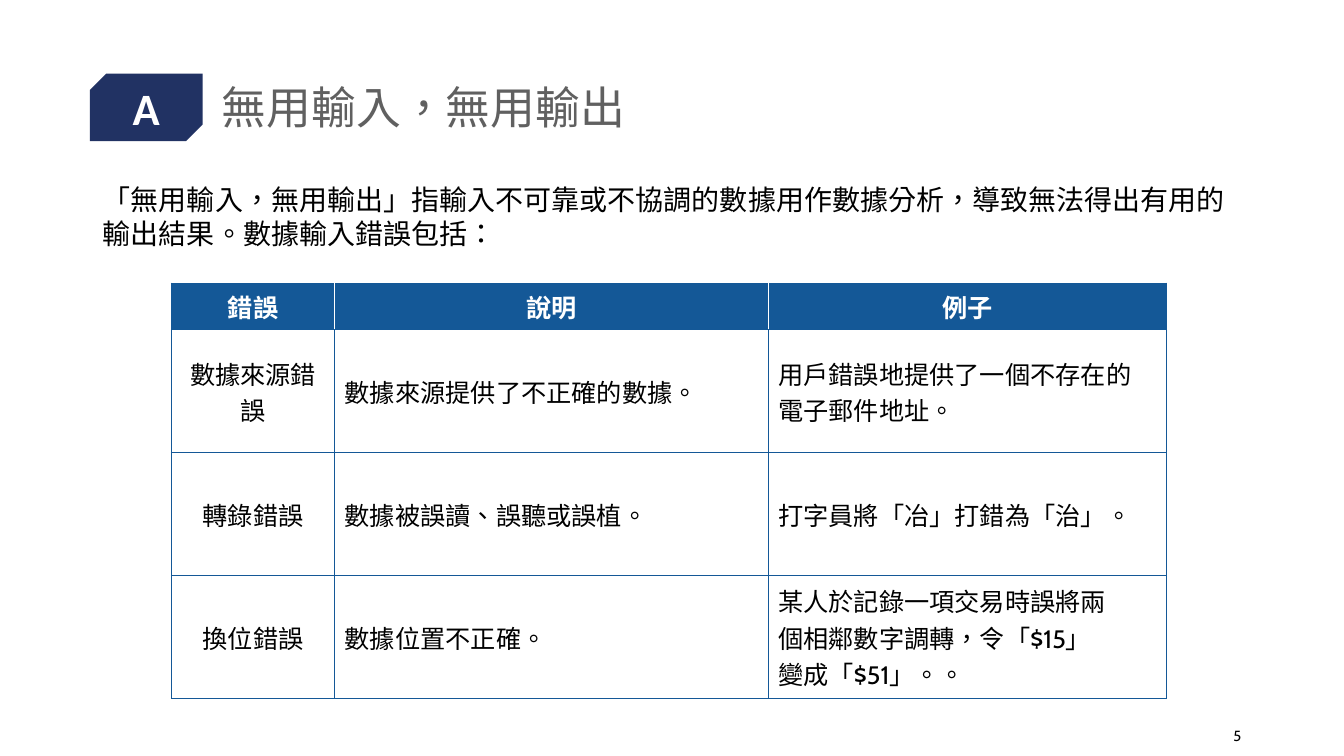
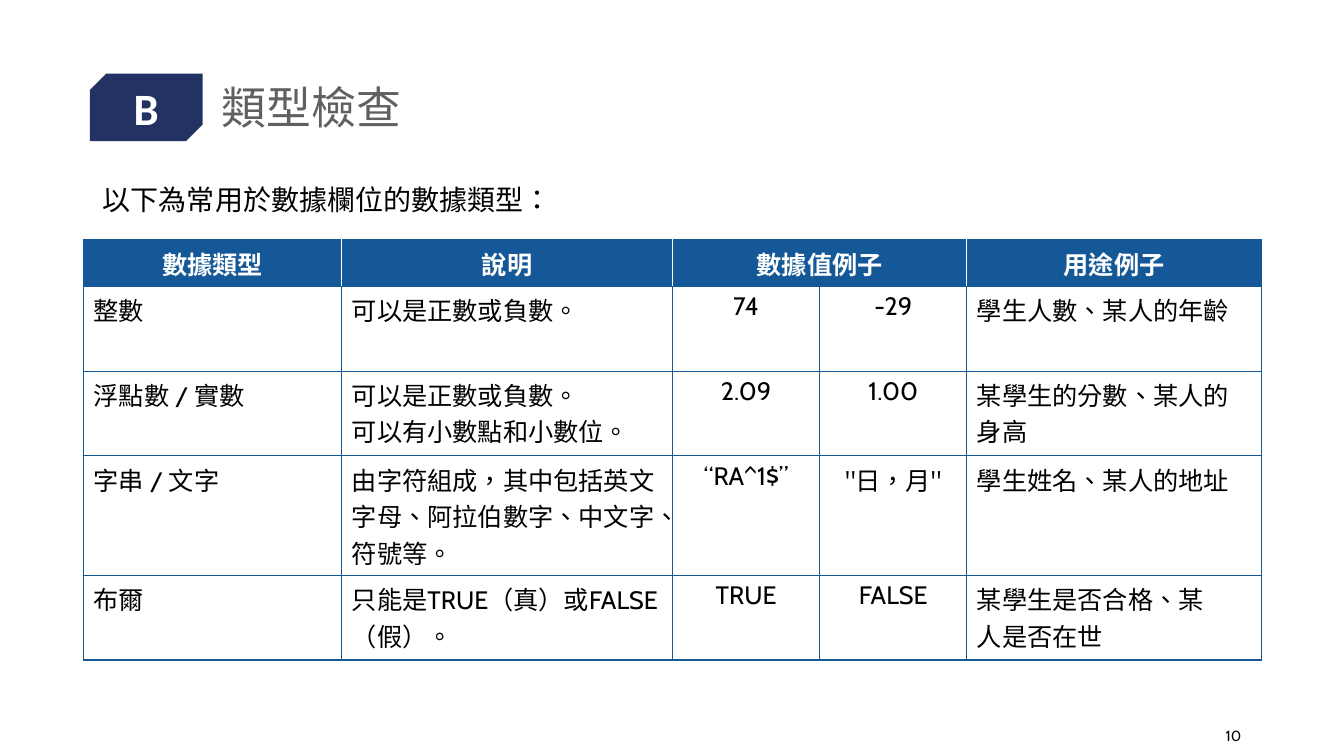
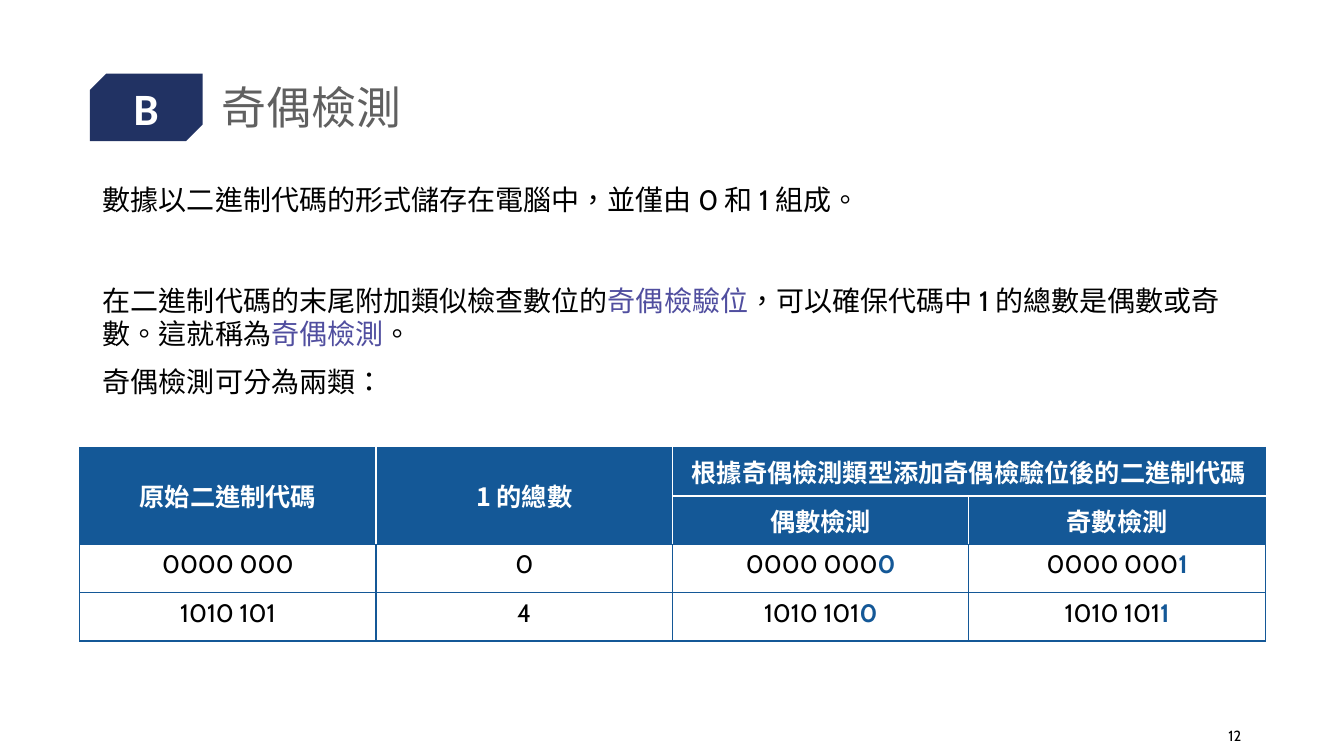
from lxml import etree
from pptx import Presentation
from pptx import util as u
from pptx.dml.color import RGBColor
from pptx.enum import lang, shapes, text
from pptx.oxml.ns import qn

NAVY, BLUE, PURPLE = "213263", "145897", "504E9F"
GREY, BLACK, WHITE = "606060", "000000", "FFFFFF"
CJK, LATIN, BADGE = "Noto Sans CJK TC", "Cabin", "Calibri"
LEFT, CENTER, RIGHT = text.PP_ALIGN.LEFT, text.PP_ALIGN.CENTER, text.PP_ALIGN.RIGHT
TOP, MIDDLE = text.MSO_ANCHOR.TOP, text.MSO_ANCHOR.MIDDLE


def rgb(color):
    return RGBColor.from_string(color)


def assign(obj, values):
    for name, value in values.items():
        setattr(obj, name, value)


def place(sp, left, top, width, height):
    assign(sp, {"left": u.Inches(left), "top": u.Inches(top),
                "width": u.Inches(width), "height": u.Inches(height)})


def set_border(cell, side, color):
    ln = etree.SubElement(cell._tc.get_or_add_tcPr(), qn(f"a:ln{side}"), w=str(u.Pt(1)))
    fill = etree.SubElement(ln, qn("a:solidFill"))
    etree.SubElement(fill, qn("a:srgbClr"), val=color)


class Deck:
    def __init__(self):
        self.prs = Presentation()
        assign(self.prs, {"slide_width": u.Inches(13.33), "slide_height": u.Inches(7.5)})
        self.s = None

    def add_text(self, tf, lines, size, font, color, accent=None, align=LEFT, bold=False, **fmt):
        """Fill a text frame; text between asterisks takes the accent format."""
        for i, line in enumerate(lines):
            p = tf.paragraphs[0] if i == 0 else tf.add_paragraph()
            pPr = p._p.get_or_add_pPr()
            assign(p, {"alignment": align, "space_before": u.Pt(0), **fmt})
            pPr.set("marL", "0")
            pPr.set("indent", "0")
            etree.SubElement(pPr, qn("a:buNone"))
            for k, part in enumerate(line.split("*")):
                if part:
                    look = {"name": font, "size": u.Pt(size), "bold": bold, "color": color}
                    look.update(accent if accent and k % 2 else {})
                    self.add_run(p, part, look)

    def add_run(self, p, words, look):
        r = p.add_run()
        r.text = words
        r.font.color.rgb = rgb(look.pop("color"))
        assign(r.font, {**look, "language_id": lang.MSO_LANGUAGE_ID.TRADITIONAL_CHINESE})
        etree.SubElement(r.font._element, qn("a:ea"), typeface=CJK)

    def frame(self, sp, anchor=MIDDLE):
        assign(sp.text_frame, {"word_wrap": True, "vertical_anchor": anchor,
                               "auto_size": text.MSO_AUTO_SIZE.NONE})
        return sp.text_frame

    def new_slide(self, letter, title, number):
        self.s = self.prs.slides.add_slide(self.prs.slide_layouts.get_by_name("Two Content"))
        self.badge(letter)
        sp = self.s.shapes.title
        place(sp, 2.1, 0.4, 10.32, 1.38)
        self.add_text(self.frame(sp), [title], 32, CJK, GREY, line_spacing=0.9)
        sp = self.s.shapes.add_textbox(0, 0, 0, 0)
        place(sp, 11.57, 7.1, 0.84, 0.4)
        self.add_text(self.frame(sp), [str(number)], 10.5, LATIN, BLACK, align=RIGHT)

    def badge(self, letter):
        sp = self.s.shapes.add_shape(shapes.MSO_SHAPE.SNIP_2_DIAG_RECTANGLE, 0, 0, 0, 0)
        place(sp, 0.89, 0.73, 1.12, 0.67)
        sp.adjustments[0], sp.adjustments[1] = 0.245, 0
        sp.shadow.inherit = False
        sp.fill.solid()
        sp.fill.fore_color.rgb = rgb(NAVY)
        sp.line.fill.background()
        self.s.shapes._spTree.insert(2, sp._element)
        sp = self.s.placeholders[1]
        place(sp, 0.92, 0.75, 1.06, 0.64)
        self.add_text(self.frame(sp), [letter], 32, BADGE, WHITE, align=CENTER, bold=True)

    def body(self, lines, font=CJK, gaps=()):
        """Add the body text; gaps lists the space before each later paragraph."""
        sp = self.s.placeholders[2]
        place(sp, 0.92, 1.76, 11.5, 5.12)
        tf = self.frame(sp, TOP)
        self.add_text(tf, lines, 20, font, BLACK, {"name": CJK, "color": PURPLE},
                      line_spacing=1.0)
        for p, gap in zip(tf.paragraphs[1:], gaps):
            p.space_before = u.Pt(gap)

    def table(self, left, top, cols, heights, rows, centered, merges=(), heads=1,
              head_anchor=TOP, anchor=TOP):
        """Add a table; merges holds (row, col, last row, last col)."""
        gf = self.s.shapes.add_table(len(rows), len(cols), u.Inches(left), u.Inches(top),
                                     u.Inches(sum(cols)), u.Inches(sum(heights)))
        tbl = gf.table
        assign(tbl, {"first_row": False, "horz_banding": False})
        for col, width in zip(tbl.columns, cols):
            col.width = u.Inches(width)
        for row, height in zip(tbl.rows, heights):
            row.height = u.Inches(height)
        for r0, c0, r1, c1 in merges:
            tbl.cell(r0, c0).merge(tbl.cell(r1, c1))
        for r, row in enumerate(rows):
            for c, words in enumerate(row):
                cell = tbl.cell(r, c)
                if cell.is_spanned:
                    continue
                head = r < heads
                cell.vertical_anchor = head_anchor if head else anchor
                self.borders(cell, r, c, heads, len(cols))
                if head:
                    cell.fill.solid()
                    cell.fill.fore_color.rgb = rgb(BLUE)
                else:
                    cell.fill.background()
                font, color = (CJK, WHITE) if head else (LATIN, BLACK)
                self.add_text(cell.text_frame, words.split("\n"), 18, font, color,
                              {"bold": True, "color": BLUE},
                              CENTER if head or c in centered else LEFT, bold=head)

    def borders(self, cell, r, c, heads, n_cols):
        """Draw white lines between header cells and blue ones elsewhere."""
        head = r < heads
        white = {"L": head and c > 0, "R": head and c + cell.span_width < n_cols,
                 "T": head and r > 0, "B": head and r + cell.span_height < heads}
        for side, is_white in white.items():
            set_border(cell, side, WHITE if is_white else BLUE)


def main():
    d = Deck()

    d.new_slide("A", "無用輸入，無用輸出", 5)
    d.body(["「無用輸入，無用輸出」指輸入不可靠或不協調的數據用作數據分析，"
            "導致無法得出有用的輸出結果。數據輸入錯誤包括："])
    d.table(1.7, 2.81, [1.62, 4.3, 3.95], [0.45] + [1.22] * 3, [
        ["錯誤", "說明", "例子"],
        ["數據來源錯誤", "數據來源提供了不正確的數據。",
         "用戶錯誤地提供了一個不存在的\n電子郵件地址。"],
        ["轉錄錯誤", "數據被誤讀、誤聽或誤植。", "打字員將「冶」打錯為「治」。"],
        ["換位錯誤", "數據位置不正確。",
         "某人於記錄一項交易時誤將兩\n個相鄰數字調轉，令「$15」\n變成「$51」。。"],
    ], centered={0}, anchor=MIDDLE)

    d.new_slide("B", "類型檢查", 10)
    d.body(["以下為常用於數據欄位的數據類型："])
    d.table(0.83, 2.38, [2.56, 3.28, 1.46, 1.46, 2.92], [0.42] + [0.84] * 4, [
        ["數據類型", "說明", "數據值例子", "", "用途例子"],
        ["整數", "可以是正數或負數。", "74", "-29", "學生人數、某人的年齡"],
        ["浮點數 / 實數", "可以是正數或負數。\n可以有小數點和小數位。", "2.09", "1.00",
         "某學生的分數、某人的身高"],
        ["字串 / 文字", "由字符組成，其中包括英文字母、阿拉伯數字、中文字、符號等。",
         "“RA^1$”", '"日，月"', "學生姓名、某人的地址"],
        ["布爾", "只能是TRUE（真）或FALSE（假）。", "TRUE", "FALSE",
         "某學生是否合格、某\n人是否在世"],
    ], centered={2, 3}, merges=[(0, 2, 0, 3)])

    d.new_slide("B", "奇偶檢測", 12)
    d.body(["數據以二進制代碼的形式儲存在電腦中，並僅由 0 和 1 組成。",
            "在二進制代碼的末尾附加類似檢查數位的*奇偶檢驗位*，"
            "可以確保代碼中 1 的總數是偶數或奇數。這就稱為*奇偶檢測*。",
            "奇偶檢測可分為兩類："], LATIN, gaps=[48, 10])
    d.table(0.79, 4.44, [2.94] * 4, [0.48] * 4, [
        ["原始二進制代碼", "1 的總數", "根據奇偶檢測類型添加奇偶檢驗位後的二進制代碼", ""],
        ["", "", "偶數檢測", "奇數檢測"],
        ["0000 000", "0", "0000 000*0*", "0000 000*1*"],
        ["1010 101", "4", "1010 101*0*", "1010 101*1*"],
    ], centered=range(4), merges=[(0, 0, 1, 0), (0, 1, 1, 1), (0, 2, 0, 3)],
        heads=2, head_anchor=MIDDLE)

    d.prs.save("out.pptx")


if __name__ == "__main__":
    main()
